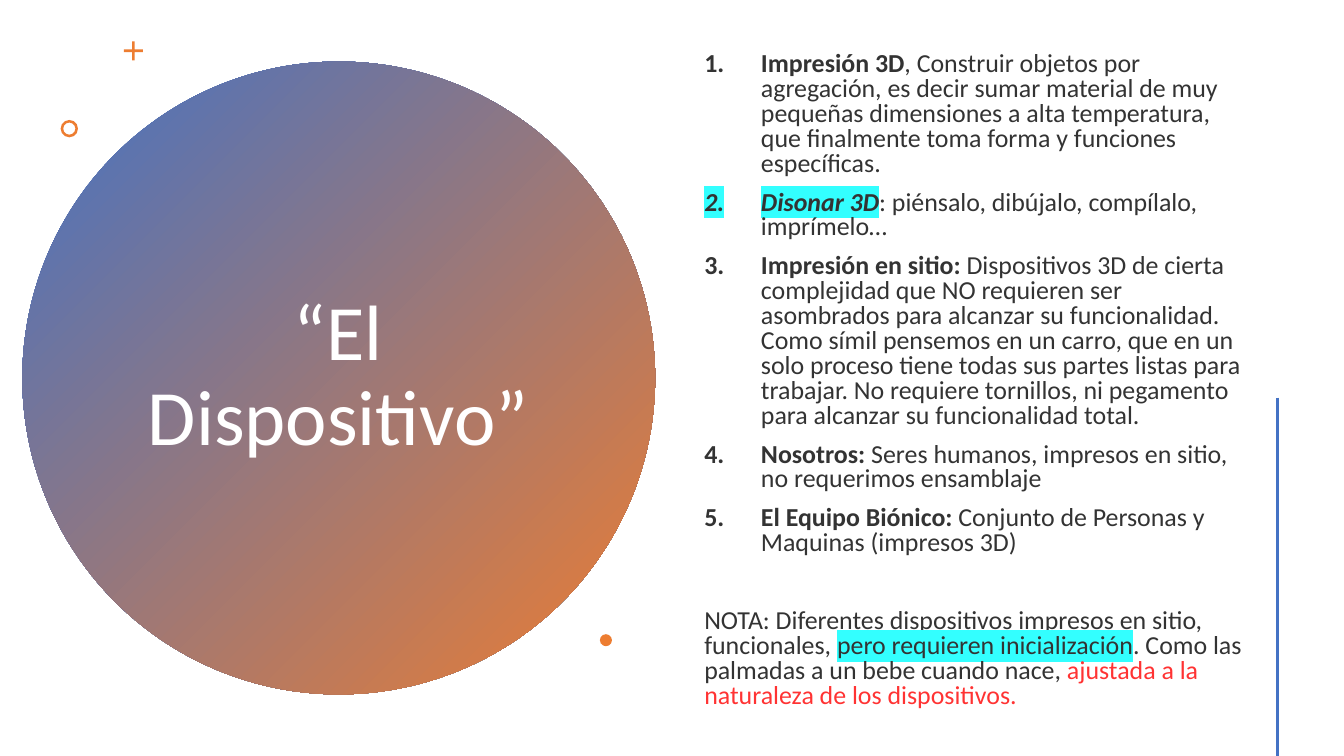
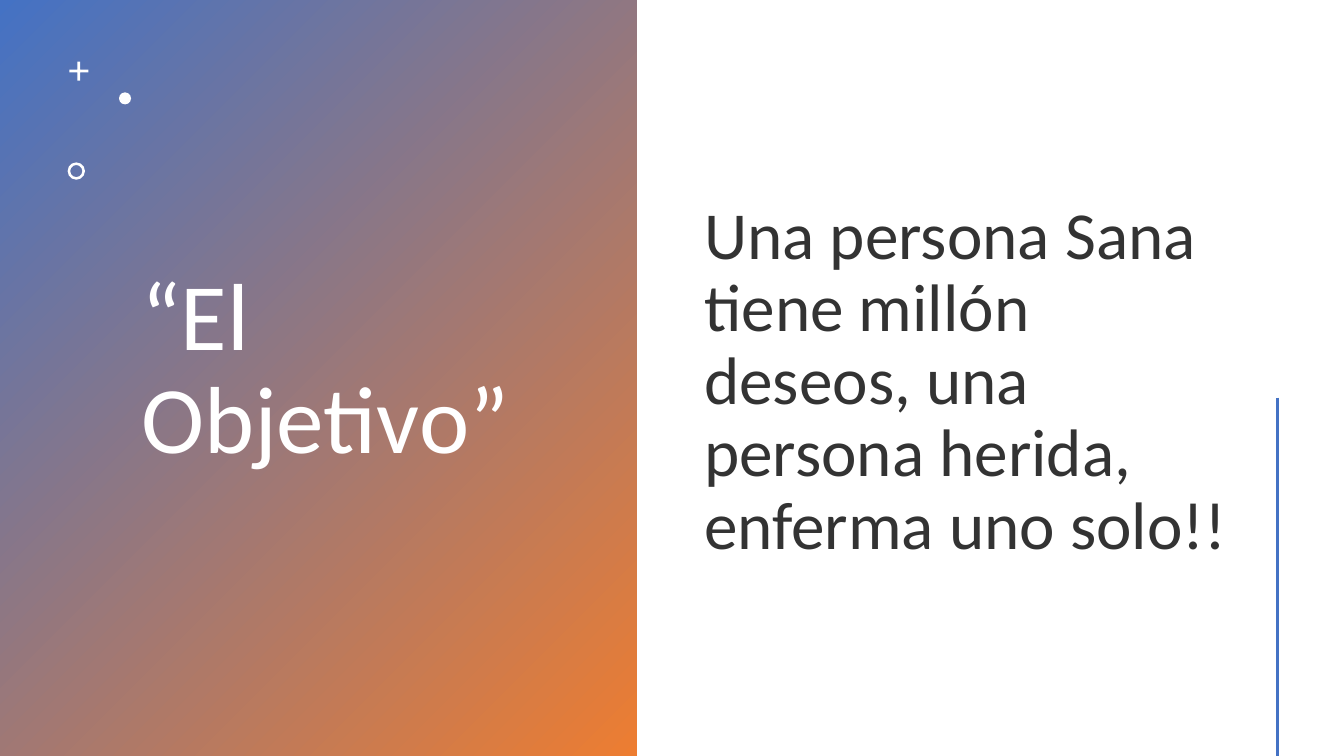
from lxml import etree
from pptx import Presentation
from pptx.dml.color import RGBColor
from pptx.enum.shapes import MSO_CONNECTOR, MSO_SHAPE
from pptx.enum.text import MSO_ANCHOR, MSO_AUTO_SIZE, PP_ALIGN
from pptx.oxml.ns import qn
from pptx.util import Pt

OVAL, RECTANGLE = MSO_SHAPE.OVAL, MSO_SHAPE.RECTANGLE
CROSS, DONUT = MSO_SHAPE.CROSS, MSO_SHAPE.DONUT
LEFT, CENTER = PP_ALIGN.LEFT, PP_ALIGN.CENTER
TITLE_ONLY = 5

FONT = "Calibri"
COLORS = {
    "blue": "4472C4",
    "orange": "ED7D31",
    "white": "FFFFFF",
    "text": "333333",
    "red": "FF3333",
    "highlight": "33FFFF",
}
# Preset shape, size in points, adjustment
MARKS = {
    "plus": (CROSS, 13.6, 0.43),
    "ring": (DONUT, 12.4, 0.15),
    "dot": (OVAL, 8.6, None),
}
NUMBER_INDENT = Pt(40.5)

# A paragraph is (numbered, space before, runs); a run is (text, styles).
SLIDES = [
    {
        "title": "“El Dispositivo”",
        "title_box": (98, 101.5, 287.5, 336.5),
        "title_size": 56,
        "title_align": CENTER,
        "panel": (OVAL, 16, 44, 452, 452),
        "mark_color": "orange",
        "marks": {"plus": (88.5, 29.5), "ring": (43.3, 85.7), "dot": (428.5, 453)},
        "body_box": (496, 18.7, 402, 507),
        "body_size": 18.5,
        "body_spacing": 0.8,
        "body": [
            (True, 0, [
                ("Impresión 3D", "bold"),
                (", Construir objetos por agregación, es decir sumar material de muy "
                 "pequeñas dimensiones a alta temperatura, que finalmente toma forma y "
                 "funciones específicas.", ""),
            ]),
            (True, 10, [
                ("Disonar 3D", "bold italic highlight"),
                (": piénsalo, dibújalo, compílalo, imprímelo…", ""),
            ]),
            (True, 10, [
                ("Impresión en sitio: ", "bold"),
                ("Dispositivos 3D de cierta complejidad que NO requieren ser asombrados "
                 "para alcanzar su funcionalidad. Como símil pensemos en un carro, que en "
                 "un solo proceso tiene todas sus partes listas para trabajar. No requiere "
                 "tornillos, ni pegamento para alcanzar su funcionalidad total.", ""),
            ]),
            (True, 10, [
                ("Nosotros: ", "bold"),
                ("Seres humanos, impresos en sitio, no requerimos ensamblaje", ""),
            ]),
            (True, 10, [
                ("El Equipo Biónico: ", "bold"),
                ("Conjunto de Personas y Maquinas (impresos 3D)", ""),
            ]),
            (False, 38, [
                ("NOTA: Diferentes dispositivos impresos en sitio, funcionales, ", ""),
                ("pero requieren inicialización", "highlight"),
                (". Como las palmadas a un bebe cuando nace, ", ""),
                ("ajustada a la naturaleza de los dispositivos.", "red"),
            ]),
        ],
    },
    {
        "title": "“El Objetivo”",
        "title_box": (93.6, 30, 315.4, 470),
        "title_size": 68,
        "title_align": LEFT,
        "panel": (RECTANGLE, 0, 0, 455, 540),
        "mark_color": "white",
        "marks": {"plus": (49.5, 44), "dot": (85, 66), "ring": (48.3, 116)},
        "body_box": (496, 7.2, 390, 532),
        "body_size": 48,
        "body_spacing": 0.9,
        "body": [
            (False, 0, [
                ("Una persona Sana tiene millón deseos, una persona herida, "
                 "enferma uno solo!!", ""),
            ]),
        ],
    },
]


def add_plain_shape(slide, preset, *box):
    """Add a preset shape without outline or shadow; box is in points."""
    shape = slide.shapes.add_shape(preset, *map(Pt, box))
    shape.shadow.inherit = False
    shape.line.fill.background()
    return shape


def format_run(run, size, color):
    run.font.name = FONT
    run.font.size = Pt(size)
    run.font.color.rgb = RGBColor.from_string(COLORS[color])


presentation = Presentation()
presentation.slide_width, presentation.slide_height = Pt(960), Pt(540)

for content in SLIDES:
    slide = presentation.slides.add_slide(presentation.slide_layouts[TITLE_ONLY])

    # Gradient panel behind the title
    panel = add_plain_shape(slide, *content["panel"])
    panel.fill.gradient()
    panel.fill.gradient_angle = 315
    for stop, color in zip(panel.fill.gradient_stops, ("blue", "orange")):
        stop.color.rgb = RGBColor.from_string(COLORS[color])

    # Title, brought in front of the panel
    title = slide.shapes.title
    title.left, title.top, title.width, title.height = map(Pt, content["title_box"])
    panel._element.addnext(title._element)
    title.text_frame.text = content["title"]
    title.text_frame.word_wrap = True
    title.text_frame.auto_size = MSO_AUTO_SIZE.NONE
    title.text_frame.vertical_anchor = MSO_ANCHOR.MIDDLE
    paragraph = title.text_frame.paragraphs[0]
    paragraph.alignment = content["title_align"]
    paragraph.line_spacing = 0.9
    format_run(paragraph.runs[0], content["title_size"], "white")

    # Small decorative marks
    for name, (left, top) in content["marks"].items():
        preset, size, adjustment = MARKS[name]
        mark = add_plain_shape(slide, preset, left, top, size, size)
        if adjustment is not None:
            mark.adjustments[0] = adjustment
        mark.fill.solid()
        mark.fill.fore_color.rgb = RGBColor.from_string(COLORS[content["mark_color"]])

    # Body text
    body = slide.shapes.add_textbox(*map(Pt, content["body_box"]))
    text_frame = body.text_frame
    text_frame.word_wrap = True
    text_frame.vertical_anchor = MSO_ANCHOR.MIDDLE
    for index, (numbered, space_before, runs) in enumerate(content["body"]):
        paragraph = text_frame.add_paragraph() if index else text_frame.paragraphs[0]
        if numbered:
            properties = paragraph._p.get_or_add_pPr()
            properties.set("marL", str(NUMBER_INDENT))
            properties.set("indent", str(-NUMBER_INDENT))
            etree.SubElement(properties, qn("a:buAutoNum"), type="arabicPeriod")
        paragraph.line_spacing = content["body_spacing"]
        paragraph.space_before = Pt(space_before)
        for text, styles in runs:
            run = paragraph.add_run()
            run.text = text
            format_run(run, content["body_size"], "red" if "red" in styles else "text")
            run.font.bold = "bold" in styles
            run.font.italic = "italic" in styles
            if "highlight" in styles:
                highlight = etree.Element(qn("a:highlight"))
                etree.SubElement(highlight, qn("a:srgbClr"), val=COLORS["highlight"])
                run._r.rPr.find(qn("a:solidFill")).addnext(highlight)

    # Vertical line at the right edge
    line = slide.shapes.add_connector(
        MSO_CONNECTOR.STRAIGHT, Pt(912.3), Pt(284), Pt(912.3), Pt(540))
    line.line.width = Pt(2)
    line.line.color.rgb = RGBColor.from_string(COLORS["blue"])
    etree.SubElement(line._element.spPr, qn("a:effectLst"))

presentation.save("out.pptx")
